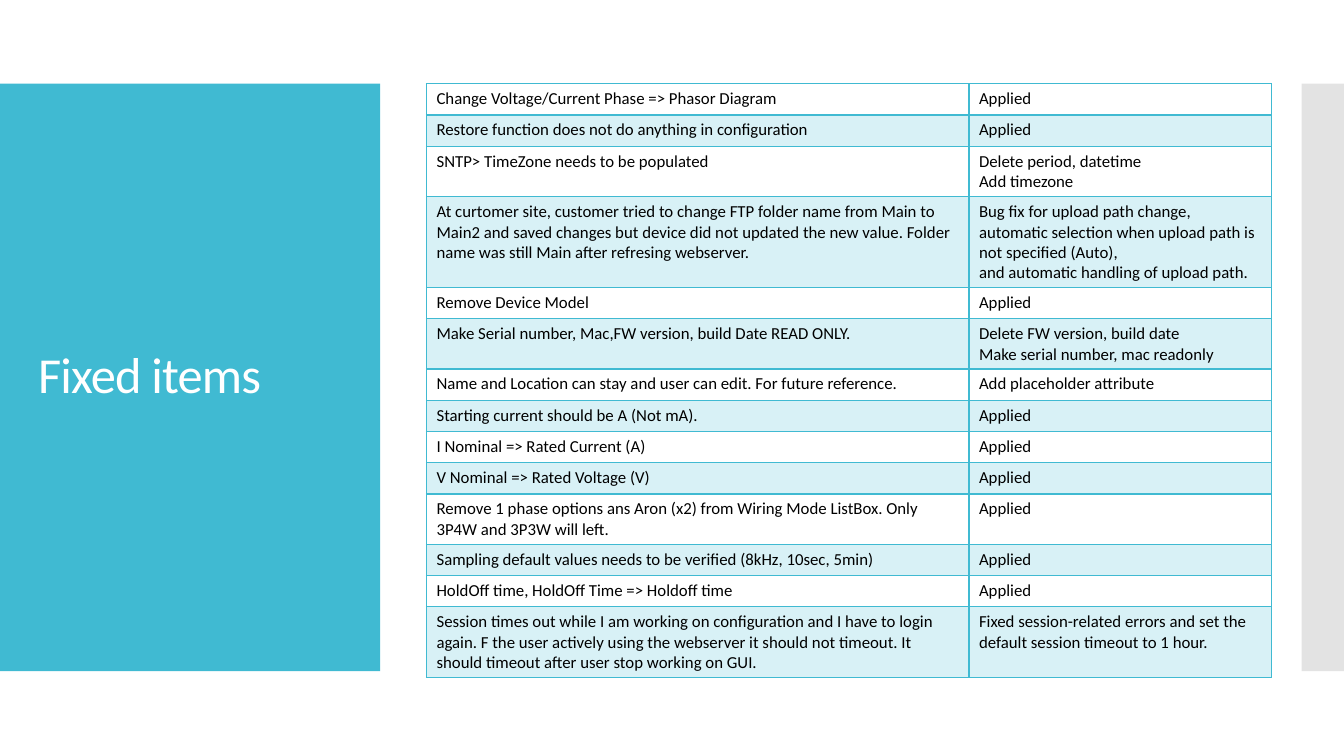
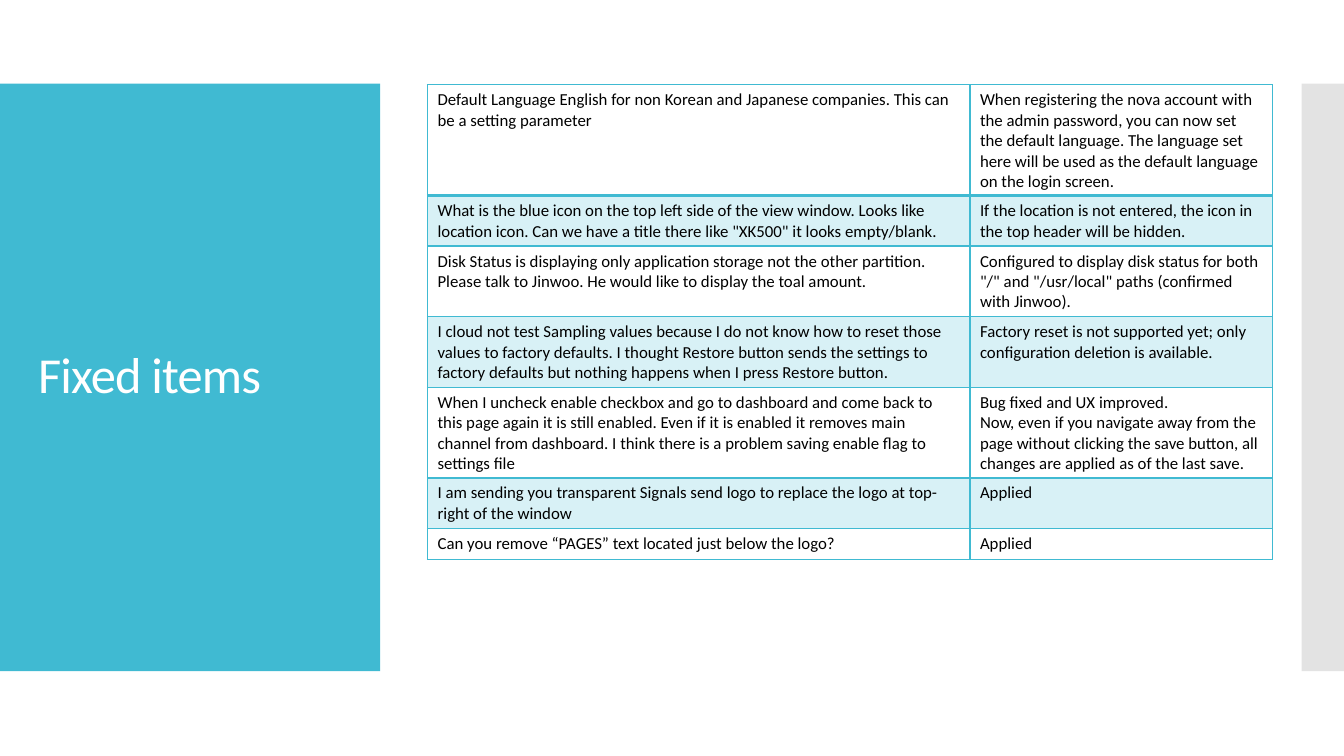
import pptx
import pptx.util
import pptx.dml.color
import pptx.enum.shapes
import pptx.enum.text
import pptx.oxml
import pptx.oxml.ns
from pptx.util import Inches

TEAL = pptx.dml.color.RGBColor(0x40, 0xBA, 0xD2)
GREY = pptx.dml.color.RGBColor(0xC8, 0xC8, 0xC8)
WHITE = pptx.dml.color.RGBColor(0xFF, 0xFF, 0xFF)
BLACK = pptx.dml.color.RGBColor(0, 0, 0)
FONT = "Calibri"

SLIDE_W, SLIDE_H = 13.33, 7.5
BAND_TOP, BAND_H = 0.83, 5.83
PANEL_W, EDGE_W = 3.77, 0.42
TITLE_LEFT, TITLE_INSET, TITLE_W = 0.28, 0.4, 3.22
COL_WIDTHS = (5.38, 3)
ROW_H = 0.31

APPLIED = "Applied"
FIRST_ITEMS = [
    ("Change Voltage/Current Phase => Phasor Diagram", APPLIED),
    ("Restore function does not do anything in configuration", APPLIED),
    ("SNTP> TimeZone needs to be populated", "Delete period, datetime\nAdd timezone"),
    ("At curtomer site, customer tried to change FTP folder name from Main to Main2 and saved "
     "changes but device did not updated the new value. Folder name was still Main after "
     "refresing webserver.",
     "Bug fix for upload path change,\vautomatic selection when upload path is not specified "
     "(Auto),\vand automatic handling of upload path."),
    ("Remove Device Model", APPLIED),
    ("Make Serial number, Mac,FW version, build Date READ ONLY.",
     "Delete FW version, build date\nMake serial number, mac readonly"),
    ("Name and Location can stay and user can edit. For future reference.",
     "Add placeholder attribute"),
    ("Starting current should be A (Not mA).", APPLIED),
    ("I Nominal => Rated Current (A)", APPLIED),
    ("V Nominal => Rated Voltage (V)", APPLIED),
    ("Remove 1 phase options ans Aron (x2) from Wiring Mode ListBox. Only 3P4W and 3P3W will left.",
     APPLIED),
    ("Sampling default values needs to be verified (8kHz, 10sec, 5min)", APPLIED),
    ("HoldOff time, HoldOff Time => Holdoff time", APPLIED),
    ("Session times out while I am working on configuration and I have to login again. F the user "
     "actively using the webserver it should not timeout. It should timeout after user stop "
     "working on GUI.",
     "Fixed session-related errors and set the default session timeout to 1 hour."),
]
SECOND_ITEMS = [
    ("Default Language English for non Korean and Japanese companies. This can be a setting parameter",
     "When registering the nova account with the admin password, you can now set the default "
     "language. The language set here will be used as the default language on the login screen."),
    ("What is the blue icon on the top left side of the view window. Looks like location icon. "
     "Can we have a title there like \"XK500\" it looks empty/blank.",
     "If the location is not entered, the icon in the top header will be hidden."),
    ("Disk Status is displaying only application storage not the other partition. Please talk to "
     "Jinwoo. He would like to display the toal amount.",
     "Configured to display disk status for both \"/\" and \"/usr/local\" paths (confirmed with Jinwoo)."),
    ("I cloud not test Sampling values because I do not know how to reset those values to factory "
     "defaults. I thought Restore button sends the settings to factory defaults but nothing "
     "happens when I press Restore button.",
     "Factory reset is not supported yet; only configuration deletion is available."),
    ("When I uncheck enable checkbox and go to dashboard and come back to this page again it is "
     "still enabled. Even if it is enabled it removes main channel from dashboard. I think there "
     "is a problem saving enable flag to settings file",
     "Bug fixed and UX improved.\nNow, even if you navigate away from the page without clicking "
     "the save button, all changes are applied as of the last save."),
    ("I am sending you transparent Signals send logo to replace the logo at top-right of the window",
     APPLIED),
    ("Can you remove “PAGES” text located just below the logo?", APPLIED),
]


def write_text(tf, text, size=12, color=BLACK, line_spacing=None, tracking=None):
    """Fill a text frame: a newline starts a paragraph, a vertical tab breaks a line."""
    tf.word_wrap = True
    for i, para in enumerate(text.split("\n")):
        p = tf.add_paragraph() if i else tf.paragraphs[0]
        if line_spacing:
            p.line_spacing = line_spacing
        for j, line in enumerate(para.split("\v")):
            if j:
                p.add_line_break()
            r = p.add_run()
            r.text = line
            r.font.name = FONT
            r.font.size = pptx.util.Pt(size)
            r.font.color.rgb = color
            if tracking:
                r._r.get_or_add_rPr().set("spc", str(round(tracking * 100)))


def set_fill(fill, props, color, alpha=100):
    """Give a solid fill, with alpha as percent opacity, to the owner of props."""
    fill.solid()
    fill.fore_color.rgb = color
    if alpha < 100:
        clr = props.find(pptx.oxml.ns.qn("a:solidFill"))[0]
        clr.append(pptx.oxml.parse_xml(
            f'<a:alpha {pptx.oxml.ns.nsdecls("a")} val="{alpha * 1000}"/>'))


def set_borders(cell, bottom=1, top=1):
    widths = {"L": 1, "R": 1, "T": top, "B": bottom}
    for i, (side, width) in enumerate(widths.items()):
        cell._tc.get_or_add_tcPr().insert(i, pptx.oxml.parse_xml(
            f'<a:ln{side} {pptx.oxml.ns.nsdecls("a")} w="{pptx.util.Pt(width)}">'
            f'<a:solidFill><a:srgbClr val="{TEAL}"/></a:solidFill></a:ln{side}>'))


def add_band(s, left, width, color, alpha=100):
    sp = s.shapes.add_shape(pptx.enum.shapes.MSO_SHAPE.RECTANGLE,
                            Inches(left), Inches(BAND_TOP), Inches(width), Inches(BAND_H))
    sp.shadow.inherit = False
    sp.line.fill.background()
    set_fill(sp.fill, sp._element.spPr, color, alpha)


def add_title(s, text):
    box = s.shapes.add_textbox(Inches(TITLE_LEFT), Inches(BAND_TOP + TITLE_INSET),
                               Inches(TITLE_W), Inches(BAND_H - 2 * TITLE_INSET))
    box.text_frame.vertical_anchor = pptx.enum.text.MSO_ANCHOR.MIDDLE
    write_text(box.text_frame, text, size=36, color=WHITE, line_spacing=0.9, tracking=-0.6)


def add_items_table(s, left, top, items):
    table = s.shapes.add_table(len(items), len(COL_WIDTHS), Inches(left), Inches(top),
                               Inches(sum(COL_WIDTHS)), Inches(ROW_H * len(items))).table
    table.first_row = table.horz_banding = False
    for col, width in zip(table.columns, COL_WIDTHS):
        col.width = Inches(width)
    for i, item in enumerate(items):
        table.rows[i].height = Inches(ROW_H)
        for j, text in enumerate(item):
            cell = table.cell(i, j)
            write_text(cell.text_frame, text)
            if i % 2:
                set_fill(cell.fill, cell._tc.get_or_add_tcPr(), TEAL, alpha=20)
            else:
                cell.fill.background()
            set_borders(cell, bottom=2 if i == 0 else 1, top=2 if i == 1 else 1)


def add_items_slide(prs, left, top, items):
    s = prs.slides.add_slide(prs.slide_layouts[6])
    add_band(s, 0, PANEL_W, TEAL)
    add_band(s, SLIDE_W - EDGE_W, EDGE_W, GREY, alpha=50)
    add_title(s, "Fixed items")
    add_items_table(s, left, top, items)


def main():
    prs = pptx.Presentation()
    prs.slide_width, prs.slide_height = Inches(SLIDE_W), Inches(SLIDE_H)
    add_items_slide(prs, 4.23, 0.83, FIRST_ITEMS)
    add_items_slide(prs, 4.24, 0.84, SECOND_ITEMS)
    prs.save("out.pptx")


if __name__ == "__main__":
    main()
